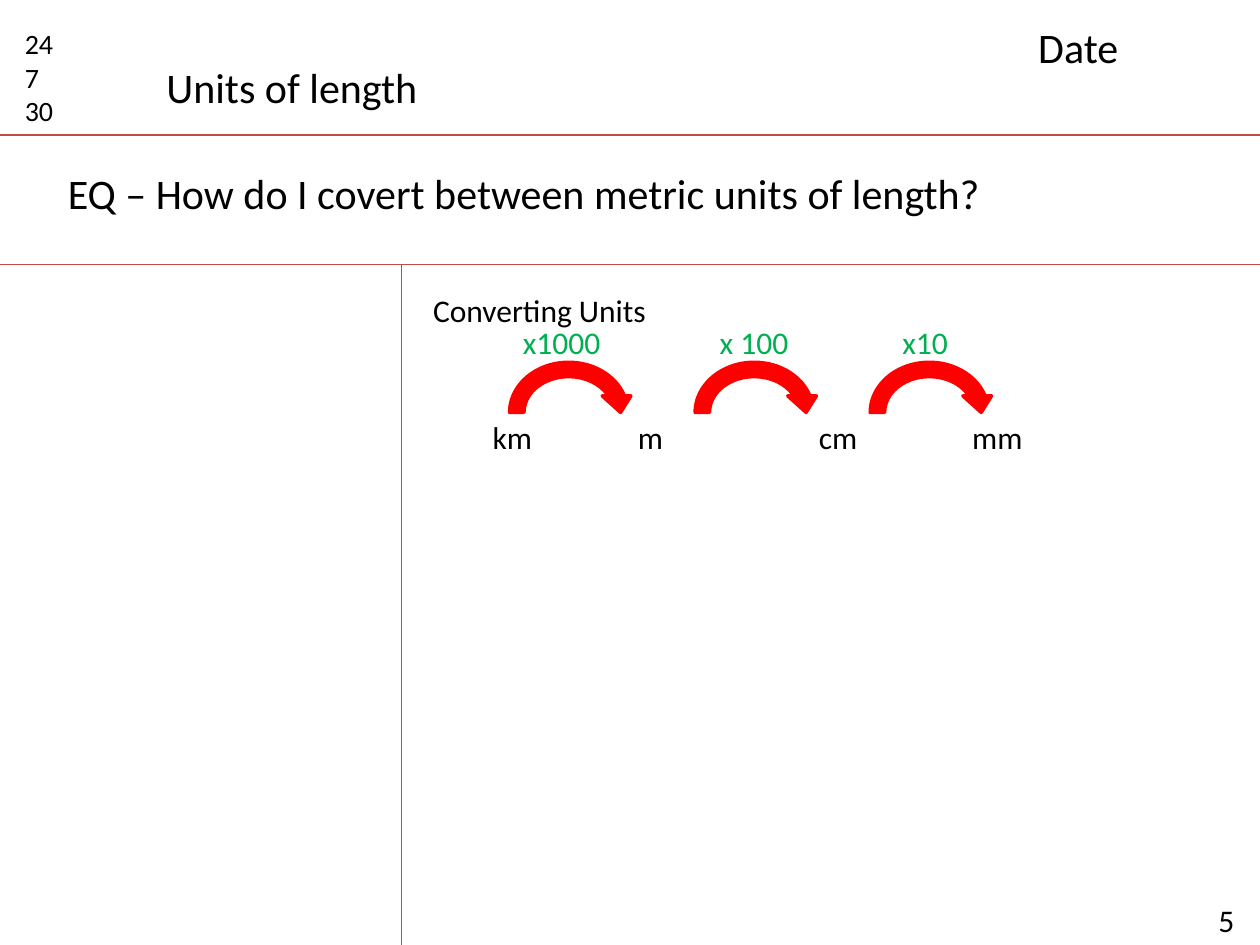
from lxml.etree import SubElement
from pptx import Presentation
from pptx.dml.color import RGBColor
from pptx.enum.shapes import MSO_CONNECTOR, MSO_SHAPE
from pptx.enum.text import MSO_ANCHOR, MSO_AUTO_SIZE, PP_ALIGN
from pptx.oxml.ns import qn
from pptx.util import Cm, Pt


def color(code):
    return RGBColor.from_string(code)


def write(box, text, size, code="000000", wrap=True, tabs=()):
    frame = box.text_frame
    frame.text = text
    frame.word_wrap = wrap
    frame.auto_size = MSO_AUTO_SIZE.SHAPE_TO_FIT_TEXT
    frame.vertical_anchor = MSO_ANCHOR.TOP
    for para in frame.paragraphs:
        para.alignment = PP_ALIGN.LEFT
        if tabs:
            stops = SubElement(para._p.get_or_add_pPr(), qn("a:tabLst"))
            for stop in tabs:
                SubElement(stops, qn("a:tab"), pos=str(Cm(stop)), algn="l")
        for run in para.runs:
            run.font.name = "Calibri"
            run.font.size = Pt(size)
            run.font.color.rgb = color(code)


deck = Presentation()
deck.slide_width, deck.slide_height = Cm(25.4), Cm(19.05)
slide = deck.slides.add_slide(deck.slide_layouts[5])
shapes = slide.shapes

title = shapes.title
title.left, title.top, title.width, title.height = Cm(3.1), Cm(1.12), Cm(5.82), Cm(1.27)
write(title, "Units of length", 24, wrap=False)

rules = [
    (0, 2.72, 25.4, 2.72),
    (0, 5.33, 25.4, 5.33),
    (8.1, 5.33, 8.1, 19.05),
]
for ends in rules:
    line = shapes.add_connector(MSO_CONNECTOR.STRAIGHT, *map(Cm, ends))
    line.line.color.rgb = color("BF4C48")
    line.line.width = Pt(0.75)
    SubElement(line._element.spPr, qn("a:effectLst"))

for left in (10.13, 13.87, 17.4):
    arrow = shapes.add_shape(
        MSO_SHAPE.CIRCULAR_ARROW, Cm(left), Cm(7.16), Cm(2.67), Cm(2.31))
    arrow.shadow.inherit = False
    arrow.fill.solid()
    arrow.fill.fore_color.rgb = color("FF0000")
    arrow.line.color.rgb = color("FF0000")
    arrow.line.width = Pt(2)

texts = [
    ("24\n7\n30", 0.25, 0.41, 1.6, 2.31, 16, "000000", True, ()),
    ("Date", 20.68, 0.3, 4.39, 1.27, 24, "000000", True, ()),
    ("EQ – How do I covert between metric units of length?",
     1.12, 3.25, 19.05, 1.27, 24, "000000", False, ()),
    ("Converting Units", 8.48, 5.74, 4.85, 1.02, 18, "000000", False, ()),
    ("km\tm\tcm\tmm", 9.68, 8.31, 11.38, 1.02, 18, "000000", True,
     (2.93, 6.58, 9.67)),
    ("x1000\tx 100\tx10", 10.29, 6.38, 9.63, 1.02, 18, "00B050", True,
     (3.97, 7.65)),
    ("5", 24.31, 18.03, 1.09, 1.02, 18, "000000", True, ()),
]
for text, left, top, wide, high, size, code, wrap, tabs in texts:
    box = shapes.add_textbox(Cm(left), Cm(top), Cm(wide), Cm(high))
    write(box, text, size, code, wrap, tabs)

deck.save("out.pptx")
